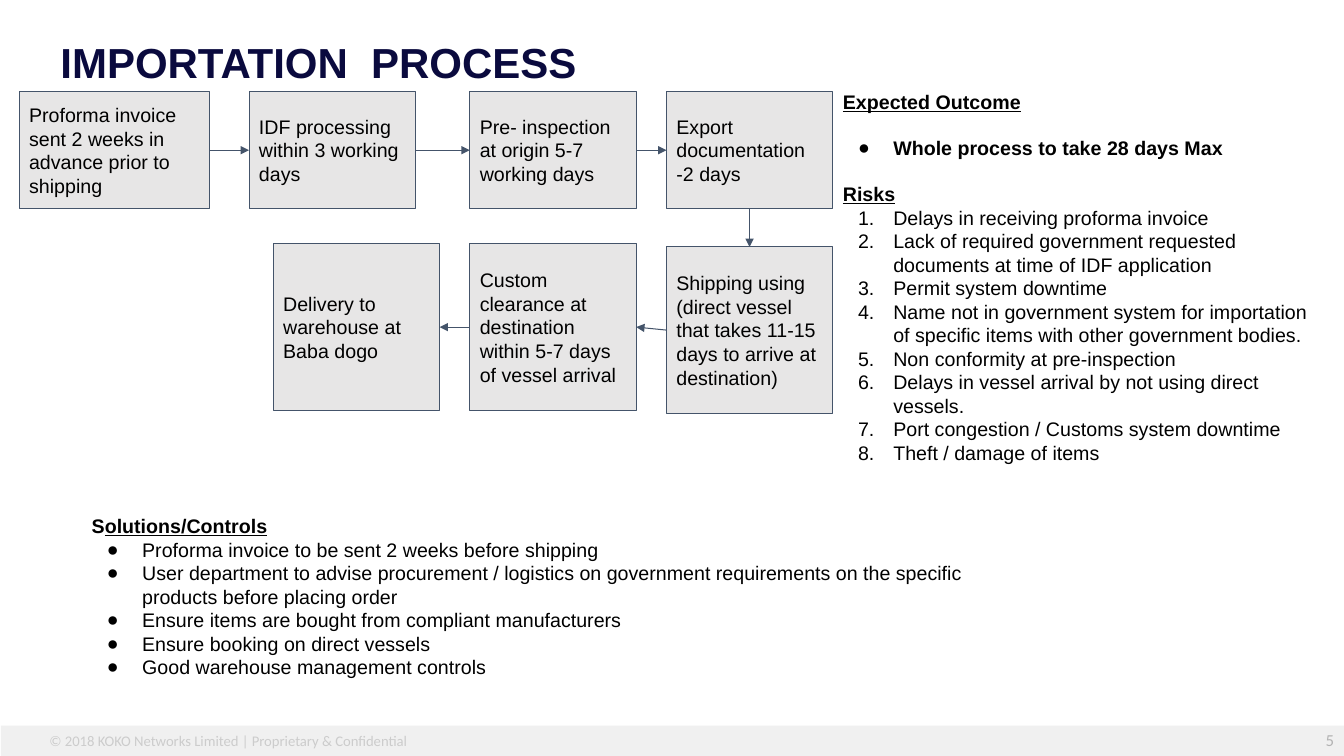
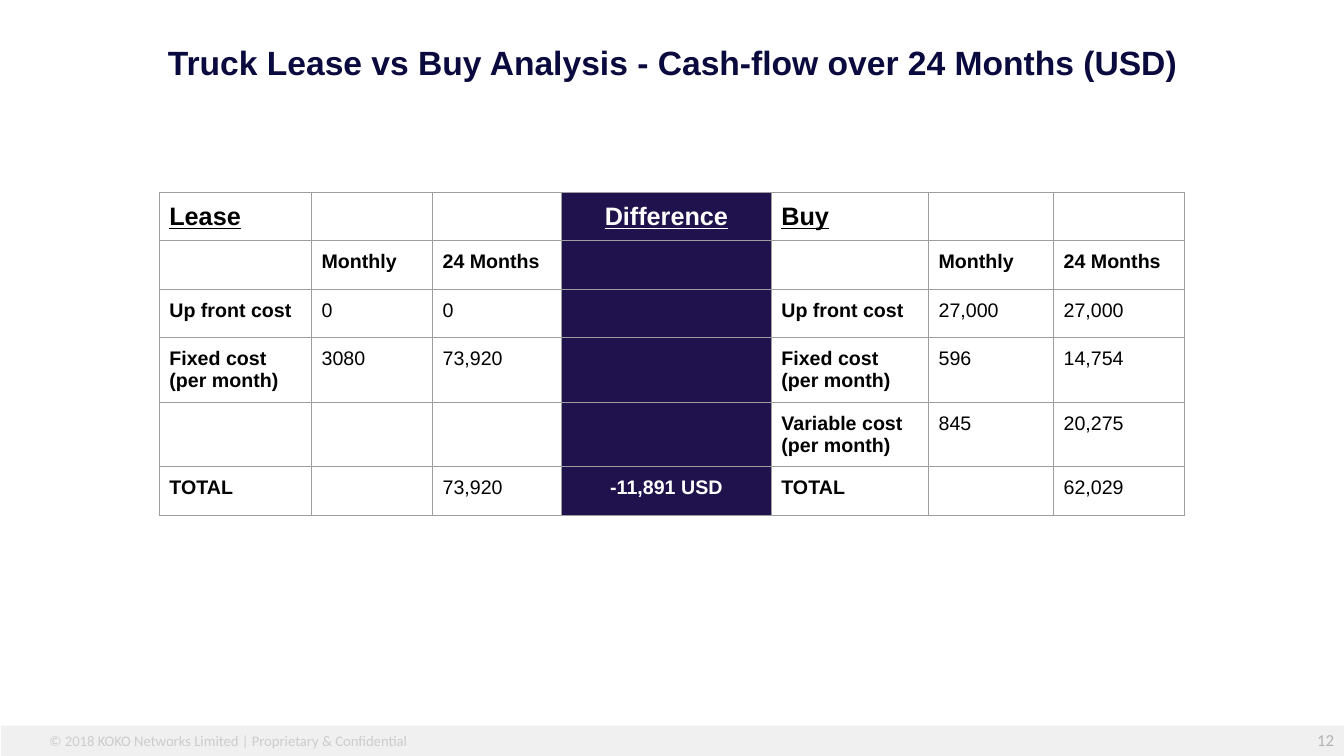
import itertools

import pptx
import pptx.dml.color
import pptx.enum.shapes
import pptx.enum.text
import pptx.oxml
import pptx.oxml.ns
import pptx.util

Inches = pptx.util.Inches
Pt = pptx.util.Pt
ALIGN = pptx.enum.text.PP_ALIGN
ANCHOR = pptx.enum.text.MSO_ANCHOR


class Theme:
    font = "Arial"
    footer_font = "Calibri"
    title_color = "0A0A3E"
    text = "000000"
    white = "FFFFFF"
    band = "F0F0F0"
    footer_text = "CCCCCC"
    page_number = "B3B3B3"
    box = "E7E6E6"
    outline = "44546A"
    difference = "20124D"
    grid = "9E9E9E"
    title_size = 30
    small_title_size = 24
    heading_size = 18
    body_size = 14
    page_size = 12
    footer_size = 10.5
    line_width = 0.75


# Content
FOOTER = "© 2018 KOKO Networks Limited | Proprietary & Confidential"

# Process steps: text, left, top, width, height
UPPER, LOWER, STEP = 0.91, 2.42, 1.65
STEPS = [
    ("Proforma invoice sent 2 weeks in advance prior to shipping", 0.19, UPPER, 1.89, 1.16),
    ("IDF processing within 3 working days", 2.47, UPPER, STEP, 1.16),
    ("Pre- inspection at origin 5-7 working days", 4.66, UPPER, STEP, 1.16),
    ("Export documentation -2 days", 6.61, UPPER, STEP, 1.16),
    ("Shipping using (direct vessel that takes 11-15 days to arrive at destination)",
     6.61, 2.45, STEP, STEP),
    ("Custom clearance at destination within 5-7 days of vessel arrival",
     4.66, LOWER, STEP, STEP),
    ("Delivery to warehouse at Baba dogo", 2.71, LOWER, STEP, STEP),
]
# Sides joined between consecutive steps
RIGHTWARD, DOWNWARD, LEFTWARD = (3, 1), (2, 0), (1, 3)
JOINS = [RIGHTWARD] * 3 + [DOWNWARD] + [LEFTWARD] * 2

# Sections: heading (plain part, underlined part), marker, bold items, gap, items
OUTCOME_AND_RISKS = [
    (("", "Expected Outcome"), "bullet", True, 16.1, ["Whole process to take 28 days Max"]),
    (("", "Risks"), "number", False, 0, [
        "Delays in receiving proforma invoice",
        "Lack of required government requested documents at time of IDF application",
        "Permit system downtime",
        "Name not in government system for importation of specific items with other "
        "government bodies.",
        "Non conformity at pre-inspection",
        "Delays in vessel arrival by not using direct vessels.",
        "Port congestion / Customs system downtime",
        "Theft / damage of items",
    ]),
]
SOLUTIONS = [
    (("S", "olutions/Controls"), "bullet", False, 0, [
        "Proforma invoice to be sent 2 weeks before shipping",
        "User department to advise procurement / logistics on government requirements on "
        "the specific products before placing order",
        "Ensure items are bought from compliant manufacturers",
        "Ensure booking on direct vessels",
        "Good warehouse management controls",
    ]),
]

COSTS = [
    ["Lease", "", "", "Difference", "Buy", "", ""],
    ["", "Monthly", "24 Months", "", "", "Monthly", "24 Months"],
    ["Up front cost", "0", "0", "", "Up front cost", "27,000", "27,000"],
    ["Fixed cost\n(per month)", "3080", "73,920", "",
     "Fixed cost\n(per month)", "596", "14,754"],
    ["", "", "", "", "Variable cost\n(per month)", "845", "20,275"],
    ["TOTAL", "", "73,920", "-11,891 USD", "TOTAL", "", "62,029"],
]
COLUMN_WIDTHS = [1.51, 1.2, 1.28, 2.08, 1.56, 1.24, 1.3]
ROW_HEIGHTS = [0.48, 0.48, 0.48, 0.64, 0.64, 0.48]
LABEL_COLUMNS, DIFFERENCE_COLUMN = (0, 4), 3


# Shared helpers
def rgb(value):
    return pptx.dml.color.RGBColor.from_string(value)


def add_xml(parent, markup):
    namespace = pptx.oxml.ns.nsdecls("a")
    parent.append(pptx.oxml.parse_xml(markup.replace(" ", f" {namespace} ", 1)))


def style(paragraph, size, color=Theme.text, bold=False, name=Theme.font, align=ALIGN.LEFT):
    paragraph.alignment = align
    font = paragraph.font
    font.name, font.size, font.bold = name, Pt(size), bold
    font.color.rgb = rgb(color)


def place(shape, left, top, width, height):
    shape.left, shape.top = Inches(left), Inches(top)
    shape.width, shape.height = Inches(width), Inches(height)


def set_frame(frame, anchor, vertical_margin=0.1):
    frame.word_wrap = True
    frame.auto_size = pptx.enum.text.MSO_AUTO_SIZE.NONE
    frame.vertical_anchor = anchor
    frame.margin_left = frame.margin_right = Inches(0.1)
    frame.margin_top = frame.margin_bottom = Inches(vertical_margin)


def add_rectangle(slide, box, fill):
    shape = slide.shapes.add_shape(
        pptx.enum.shapes.MSO_SHAPE.RECTANGLE, *map(Inches, box))
    shape.shadow.inherit = False
    shape.fill.solid()
    shape.fill.fore_color.rgb = rgb(fill)
    return shape


def add_footer_to_master(presentation, slide):
    band = add_rectangle(slide, (0.01, 7.2, 13.32, 0.3), Theme.band)
    band.line.fill.background()
    frame = band.text_frame
    set_frame(frame, ANCHOR.MIDDLE, 0.05)
    frame.margin_left = Inches(0.48)
    frame.text = FOOTER
    style(frame.paragraphs[0], Theme.footer_size, Theme.footer_text, name=Theme.footer_font)
    presentation.slide_master.shapes.element.append(band.element)


def set_title(slide, text, box, size, align, vertical_margin):
    title = slide.shapes.title
    place(title, *box)
    set_frame(title.text_frame, ANCHOR.BOTTOM, vertical_margin)
    title.text_frame.text = text
    paragraph = title.text_frame.paragraphs[0]
    paragraph.line_spacing = 0.9
    style(paragraph, size, Theme.title_color, True, align=align)


def add_page_number(slide, number):
    box = slide.shapes.add_textbox(*map(Inches, (12.85, 7.19, 0.48, 0.31)))
    set_frame(box.text_frame, ANCHOR.TOP, 0.05)
    box.text_frame.text = str(number)
    style(box.text_frame.paragraphs[0], Theme.page_size, Theme.page_number,
          name=Theme.footer_font, align=ALIGN.RIGHT)


# Lists
def set_marker(paragraph, marker):
    properties = paragraph._p.get_or_add_pPr()
    indent = 0.35 if marker else 0
    properties.set("marL", str(Inches(0.5 if marker else 0)))
    properties.set("indent", str(-Inches(indent)))
    if not marker:
        add_xml(properties, "<a:buNone />")
        return
    add_xml(properties, f'<a:buClr ><a:srgbClr val="{Theme.text}"/></a:buClr>')
    add_xml(properties, f'<a:buFont typeface="{Theme.font}"/>')
    add_xml(properties, '<a:buChar char="●"/>' if marker == "bullet"
            else '<a:buAutoNum type="arabicPeriod"/>')


def fill_sections(placeholder, box, sections):
    place(placeholder, *box)
    frame = placeholder.text_frame
    set_frame(frame, ANCHOR.TOP)

    def new_paragraph(first, marker, bold, gap):
        paragraph = frame.paragraphs[0] if first else frame.add_paragraph()
        set_marker(paragraph, marker)
        paragraph.space_before = Pt(0 if first else gap)
        style(paragraph, Theme.body_size, bold=bold)
        return paragraph

    for index, (heading, marker, bold, gap, items) in enumerate(sections):
        paragraph = new_paragraph(index == 0, None, True, 16.1)
        for text, underline in zip(heading, (False, True)):
            if text:
                run = paragraph.add_run()
                run.text = text
                run.font.underline = underline
        for position, item in enumerate(items):
            paragraph = new_paragraph(False, marker, bold, gap if position == 0 else 0)
            paragraph.add_run().text = item


# Process flow
def add_step(slide, text, *box):
    shape = add_rectangle(slide, box, Theme.box)
    shape.line.color.rgb = rgb(Theme.outline)
    shape.line.width = Pt(Theme.line_width)
    set_frame(shape.text_frame, ANCHOR.MIDDLE)
    shape.text_frame.text = text
    style(shape.text_frame.paragraphs[0], Theme.body_size)
    return shape


def add_arrow(slide, start, end, sides):
    arrow = slide.shapes.add_connector(
        pptx.enum.shapes.MSO_CONNECTOR.STRAIGHT, 0, 0, 0, 0)
    arrow.begin_connect(start, sides[0])
    arrow.end_connect(end, sides[1])
    arrow.line.color.rgb = rgb(Theme.outline)
    arrow.line.width = Pt(Theme.line_width)
    properties = arrow.element.spPr
    add_xml(properties.find(pptx.oxml.ns.qn("a:ln")), '<a:tailEnd type="triangle"/>')
    add_xml(properties, "<a:effectLst />")


# Cost table
def format_cell(cell, text, row, column):
    properties = cell._tc.get_or_add_tcPr()
    for side in "LRTB":
        add_xml(properties, f'<a:ln{side} w="{Pt(Theme.line_width)}"><a:solidFill>'
                f'<a:srgbClr val="{Theme.grid}"/></a:solidFill></a:ln{side}>')
    is_difference = column == DIFFERENCE_COLUMN
    if is_difference:
        cell.fill.solid()
        cell.fill.fore_color.rgb = rgb(Theme.difference)
    else:
        cell.fill.background()
    cell.margin_left = cell.margin_right = Inches(0.1)
    cell.margin_top = cell.margin_bottom = Inches(0.1)
    cell.text = text
    is_heading = row == 0 and bool(text)
    for paragraph in cell.text_frame.paragraphs:
        style(paragraph, Theme.heading_size if is_heading else Theme.body_size,
              Theme.white if is_difference else Theme.text,
              row < 2 or is_difference or column in LABEL_COLUMNS,
              align=ALIGN.CENTER if is_difference else ALIGN.LEFT)
        paragraph.font.underline = is_heading


def add_cost_table(slide):
    table = slide.shapes.add_table(
        len(COSTS), len(COLUMN_WIDTHS), Inches(1.58), Inches(1.91),
        Inches(sum(COLUMN_WIDTHS)), Inches(sum(ROW_HEIGHTS))).table
    table.first_row = table.horz_banding = False
    for column, width in zip(table.columns, COLUMN_WIDTHS):
        column.width = Inches(width)
    for row, height in zip(table.rows, ROW_HEIGHTS):
        row.height = Inches(height)
    for row, values in enumerate(COSTS):
        for column, text in enumerate(values):
            format_cell(table.cell(row, column), text, row, column)


# Slides
def build_process_slide(slide):
    set_title(slide, "IMPORTATION  PROCESS", (0.5, 0.17, 11.38, 0.75),
              Theme.title_size, ALIGN.LEFT, 0.05)
    add_page_number(slide, 5)
    fill_sections(slide.placeholders[1], (8.26, 0.79, 4.86, 4.97), OUTCOME_AND_RISKS)
    fill_sections(slide.placeholders[2], (0.81, 5, 9.32, 2.03), SOLUTIONS)
    steps = [add_step(slide, *step) for step in STEPS]
    for (start, end), sides in zip(itertools.pairwise(steps), JOINS):
        add_arrow(slide, start, end, sides)


def build_lease_slide(slide):
    set_title(slide, "Truck Lease vs Buy Analysis - Cash-flow over 24 Months (USD)",
              (0.89, 0, 11.56, 0.92), Theme.small_title_size, ALIGN.CENTER, 0.1)
    add_page_number(slide, 12)
    add_cost_table(slide)


def main():
    presentation = pptx.Presentation()
    presentation.slide_width, presentation.slide_height = Inches(13.33), Inches(7.5)
    two_content, title_only = (presentation.slide_layouts[index] for index in (3, 5))
    process_slide = presentation.slides.add_slide(two_content)
    add_footer_to_master(presentation, process_slide)
    build_process_slide(process_slide)
    build_lease_slide(presentation.slides.add_slide(title_only))
    presentation.save("out.pptx")


if __name__ == "__main__":
    main()
